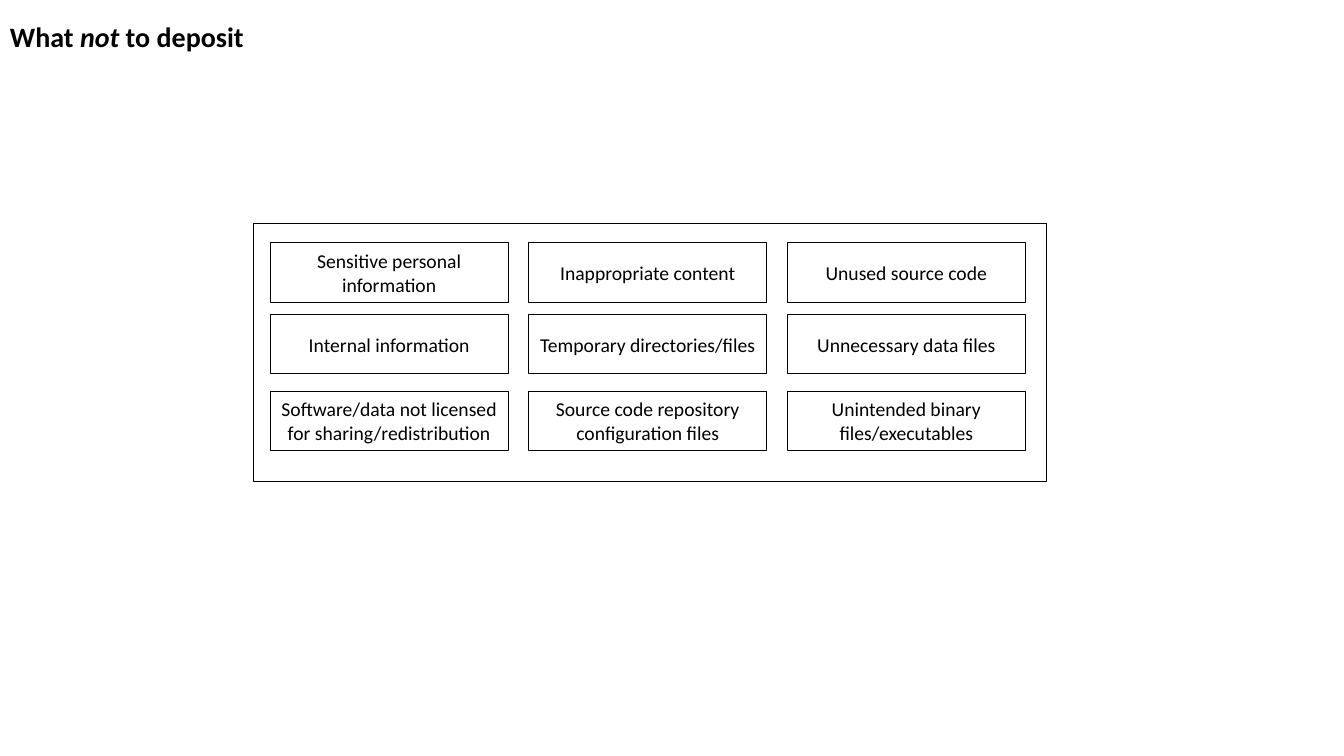
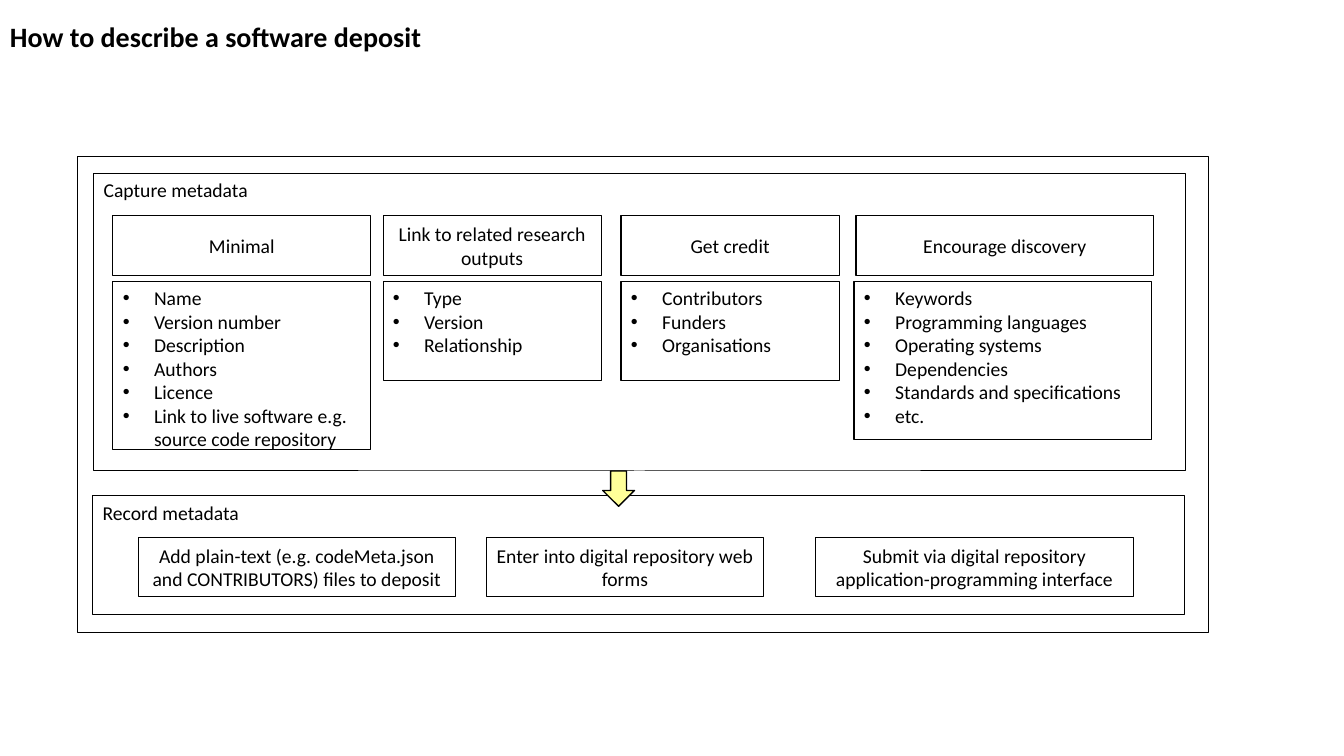
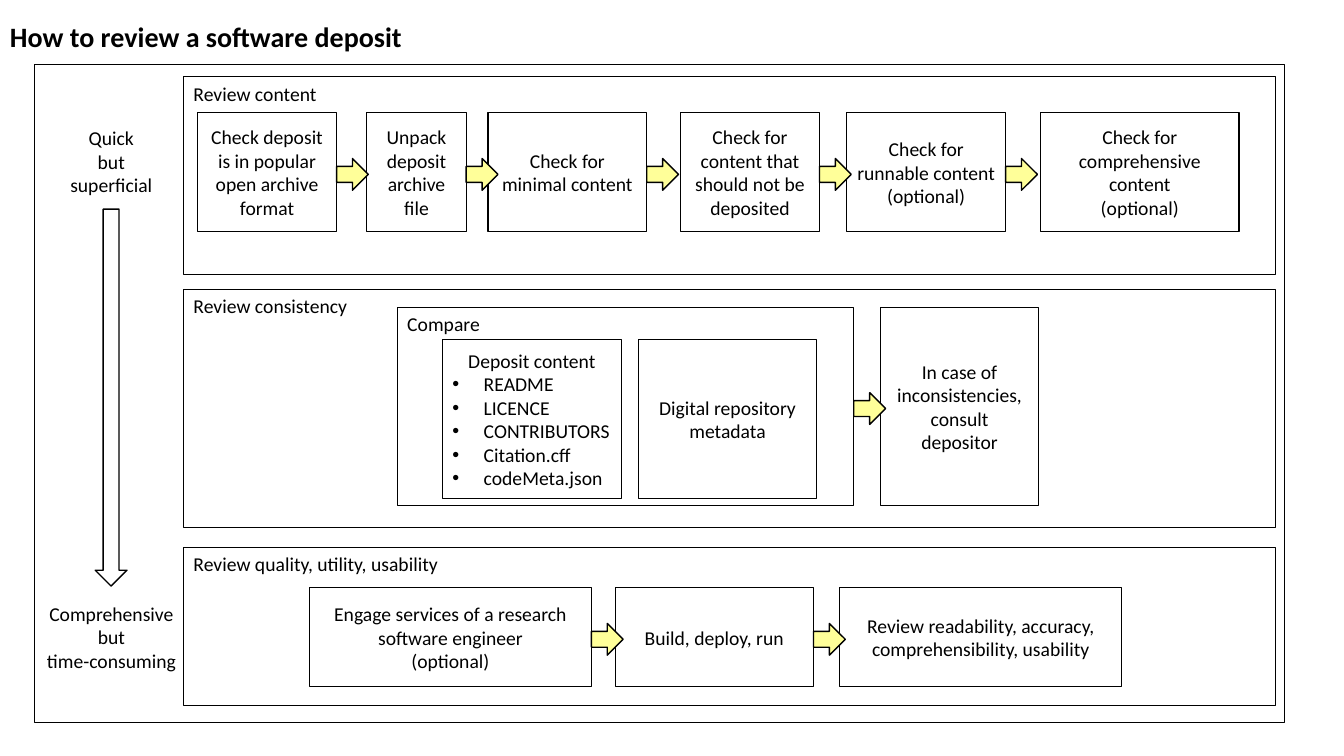
from dataclasses import dataclass
from typing import NamedTuple

from lxml.etree import SubElement
from pptx import Presentation
from pptx.dml.color import RGBColor
from pptx.enum.shapes import MSO_SHAPE
from pptx.enum.text import MSO_ANCHOR, PP_ALIGN
from pptx.oxml.ns import qn
from pptx.util import Inches, Mm, Pt

INK = RGBColor(0x00, 0x00, 0x00)
ARROW_YELLOW = RGBColor(0xFF, 0xFF, 0x99)
FONT = "Calibri"
BODY_FORMAT = {"name": FONT, "size": Pt(14)}
TITLE_FORMAT = {"name": FONT, "size": Pt(20), "bold": True}

CELL = Mm(5)  # every length below counts cells of this square grid
BULLET_INDENT = Inches(0.31)
ARROW_SIZE = 1.6
ARROW_DROP = 0.1
STEP_HEIGHT = 3
SECTION_WIDTH = 55


class Area(NamedTuple):
    left: float
    top: float
    width: float
    height: float

    def emu(self) -> list[int]:
        return [round(cells * CELL) for cells in self]


@dataclass(frozen=True)
class Box:
    area: Area
    lines: tuple[str, ...] = ()
    bullets: tuple[str, ...] = ()
    centred: bool = True
    outlined: bool = True


@dataclass(frozen=True)
class Topic:
    left: float
    list_left: float
    width: float
    heading: str
    list_height: float
    items: tuple[str, ...]


class Step(NamedTuple):
    left: float
    width: float
    lines: tuple[str, ...]


def add_run(paragraph, text: str, font_format: dict) -> None:
    run = paragraph.add_run()
    run.text = text
    run.font.color.rgb = INK
    for attribute, value in font_format.items():
        setattr(run.font, attribute, value)


def add_bullet(paragraph) -> None:
    properties = paragraph._p.get_or_add_pPr()
    properties.set("marL", str(BULLET_INDENT))
    properties.set("indent", str(-BULLET_INDENT))
    SubElement(properties, qn("a:buFont")).set("typeface", "Arial")
    SubElement(properties, qn("a:buChar")).set("char", "•")


def add_title(slide, width: float, *parts: tuple[str, bool]) -> None:
    """Write the title from (text, italic) parts."""
    frame = slide.shapes.add_textbox(*Area(0, 0.71, width, 2.24).emu()).text_frame
    frame.word_wrap = True
    for text, italic in parts:
        add_run(frame.paragraphs[0], text, TITLE_FORMAT | {"italic": italic})


def add_outline(slide, kind: MSO_SHAPE, area: Area, line_width: float,
                fill: RGBColor | None = None):
    shape = slide.shapes.add_shape(kind, *area.emu())
    shape.shadow.inherit = False
    shape.line.color.rgb = INK
    shape.line.width = Pt(line_width)
    if fill is None:
        shape.fill.background()
    else:
        shape.fill.solid()
        shape.fill.fore_color.rgb = fill
    return shape


def add_box(slide, box: Box) -> None:
    if box.outlined:
        shape = add_outline(slide, MSO_SHAPE.RECTANGLE, box.area, 0.75)
    else:
        shape = slide.shapes.add_textbox(*box.area.emu())
    frame = shape.text_frame
    frame.word_wrap = True
    frame.vertical_anchor = MSO_ANCHOR.MIDDLE if box.centred else MSO_ANCHOR.TOP
    for index, text in enumerate(box.lines + box.bullets):
        paragraph = frame.add_paragraph() if index else frame.paragraphs[0]
        bulleted = index >= len(box.lines)
        paragraph.alignment = (
            PP_ALIGN.CENTER if box.centred and not bulleted else PP_ALIGN.LEFT)
        if bulleted:
            add_bullet(paragraph)
        add_run(paragraph, text, BODY_FORMAT)


def add_section(slide, area: Area, *heading: str) -> None:
    add_box(slide, Box(area, heading, centred=False))


def add_next_arrow(slide, source: Area) -> None:
    """Point right from the middle of the source's right side."""
    top = source.top + (source.height - ARROW_SIZE) / 2 + ARROW_DROP
    area = Area(source.left + source.width, top, ARROW_SIZE, ARROW_SIZE)
    add_outline(slide, MSO_SHAPE.RIGHT_ARROW, area, 1, ARROW_YELLOW)


def add_steps(slide, steps: tuple[Step, ...], top: float, height: float,
              arrows: bool = True) -> None:
    areas = [Area(step.left, top, step.width, height) for step in steps]
    for step, area in zip(steps, areas):
        add_box(slide, Box(area, step.lines))
    if arrows:
        for area in areas[:-1]:
            add_next_arrow(slide, area)


EXCLUSION_LEFT, EXCLUSION_PITCH, EXCLUSION_WIDTH = 13.61, 13.03, 12
EXCLUSION_ROWS = {
    12.24: ("Sensitive personal information", "Inappropriate content",
            "Unused source code"),
    15.85: ("Internal information", "Temporary directories/files",
            "Unnecessary data files"),
    19.71: ("Software/data not licensed for sharing/redistribution",
            "Source code repository configuration files",
            "Unintended binary files/executables"),
}

TOPICS = (
    Topic(5.69, 5.69, 13, "Minimal", 8.5,
          ("Name", "Version number", "Description", "Authors", "Licence",
           "Link to live software e.g. source code repository")),
    Topic(19.3, 19.3, 11, "Link to related research outputs", 5,
          ("Type", "Version", "Relationship")),
    Topic(31.29, 31.29, 11, "Get credit", 5,
          ("Contributors", "Funders", "Organisations")),
    Topic(43.13, 43.03, 15, "Encourage discovery", 8,
          ("Keywords", "Programming languages", "Operating systems",
           "Dependencies", "Standards and specifications", "etc.")),
)

RECORDING_WAYS = (
    Step(6.96, 16, ("Add plain-text (e.g. codeMeta.json and CONTRIBUTORS) "
                    "files to deposit",)),
    Step(24.49, 14, ("Enter into digital repository web forms",)),
    Step(41.1, 16, ("Submit via digital repository "
                    "application-programming interface",)),
)

CONTENT_CHECKS = (
    Step(9.96, 7, ("Check deposit is in popular open archive format",)),
    Step(18.49, 5, ("Unpack deposit archive file",)),
    Step(24.59, 8, ("Check for minimal content",)),
    Step(34.29, 7, ("Check for content that should not be deposited",)),
    Step(42.67, 8, ("Check for runnable content", "(optional)")),
    Step(52.43, 10, ("Check for comprehensive content", "(optional)")),
)

QUALITY_CHECKS = (
    Step(15.6, 14.2, ("Engage services of a research software engineer",
                      "(optional)")),
    Step(30.99, 10, ("Build, deploy, run",)),
    Step(42.32, 14.2, ("Review readability, accuracy, comprehensibility, "
                       "usability",)),
)


def build_exclusions(slide) -> None:
    add_section(slide, Area(12.75, 11.28, 40, 13))
    for top, names in EXCLUSION_ROWS.items():
        steps = tuple(
            Step(EXCLUSION_LEFT + column * EXCLUSION_PITCH, EXCLUSION_WIDTH, (name,))
            for column, name in enumerate(names))
        add_steps(slide, steps, top, STEP_HEIGHT, arrows=False)
    add_title(slide, 13.11, ("What ", False), ("not", True), (" to deposit", False))


def build_description(slide) -> None:
    add_section(slide, Area(3.91, 7.87, 57, 24))
    add_section(slide, Area(4.67, 24.99, SECTION_WIDTH, 6), "Record metadata")
    add_section(slide, Area(4.72, 8.74, SECTION_WIDTH, 15), "Capture metadata")
    for topic in TOPICS:
        add_box(slide, Box(Area(topic.left, 10.87, topic.width, STEP_HEIGHT),
                           (topic.heading,)))
        add_box(slide, Box(
            Area(topic.list_left, 14.17, topic.width, topic.list_height),
            bullets=topic.items, centred=False))
    add_steps(slide, RECORDING_WAYS, 27.08, STEP_HEIGHT, arrows=False)
    add_outline(slide, MSO_SHAPE.DOWN_ARROW, Area(30.37, 23.74, ARROW_SIZE, 1.78),
                1, ARROW_YELLOW)
    add_title(slide, 22.35, ("How to describe a software deposit", False))


def build_review(slide) -> None:
    add_section(slide, Area(1.73, 3.25, 63, 33.17))
    for top, height, heading in (
        (3.86, 10, "Review content"),
        (14.58, 12, "Review consistency"),
        (27.58, 8, "Review quality, utility, usability"),
    ):
        add_section(slide, Area(9.25, top, SECTION_WIDTH, height), heading)

    add_steps(slide, CONTENT_CHECKS, 5.69, 6)
    add_steps(slide, QUALITY_CHECKS, 29.62, 5)

    comparison = Area(20.02, 15.49, 23, 10)
    add_section(slide, comparison, "Compare")
    for box in (
        Box(Area(22.3, 17.12, 9, 8), ("Deposit content",),
            ("README", "LICENCE", "CONTRIBUTORS", "Citation.cff", "codeMeta.json")),
        Box(Area(32.16, 17.12, 9, 8), ("Digital repository metadata",)),
        Box(Area(44.35, 15.49, 8, 10),
            ("In case of inconsistencies, consult depositor",)),
        Box(Area(2.84, 5.84, 5.54, 4.57), ("Quick", "but", "superficial"),
            outlined=False),
        Box(Area(1.73, 29.87, 7.77, 4.47),
            ("Comprehensive", "but", "time-consuming"), outlined=False),
    ):
        add_box(slide, box)
    add_next_arrow(slide, comparison)
    add_outline(slide, MSO_SHAPE.DOWN_ARROW, Area(4.8, 10.54, ARROW_SIZE, 19), 1)
    add_title(slide, 22.35, ("How to review a software deposit", False))


def main() -> None:
    presentation = Presentation()
    presentation.slide_width = Inches(13.33)
    presentation.slide_height = Inches(7.5)
    blank = presentation.slide_layouts[6]
    for build in (build_exclusions, build_description, build_review):
        build(presentation.slides.add_slide(blank))
    presentation.save("out.pptx")


if __name__ == "__main__":
    main()
